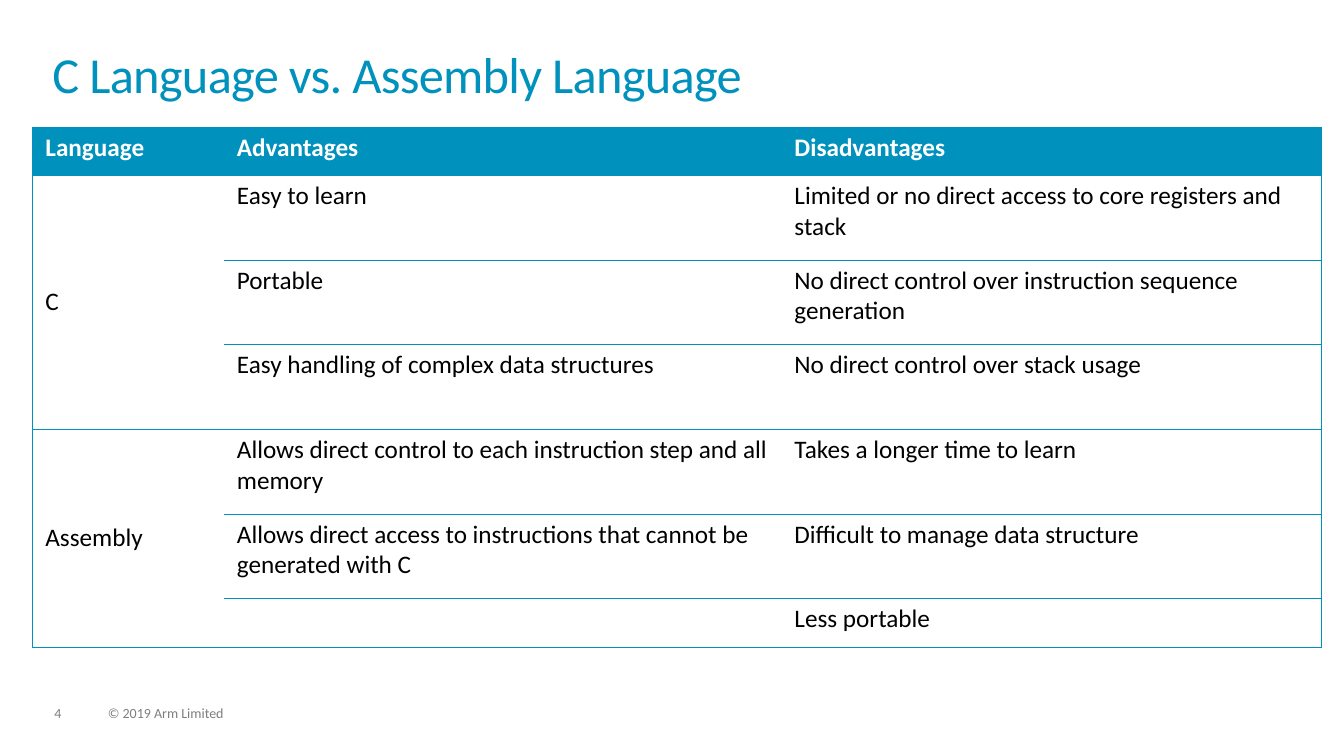
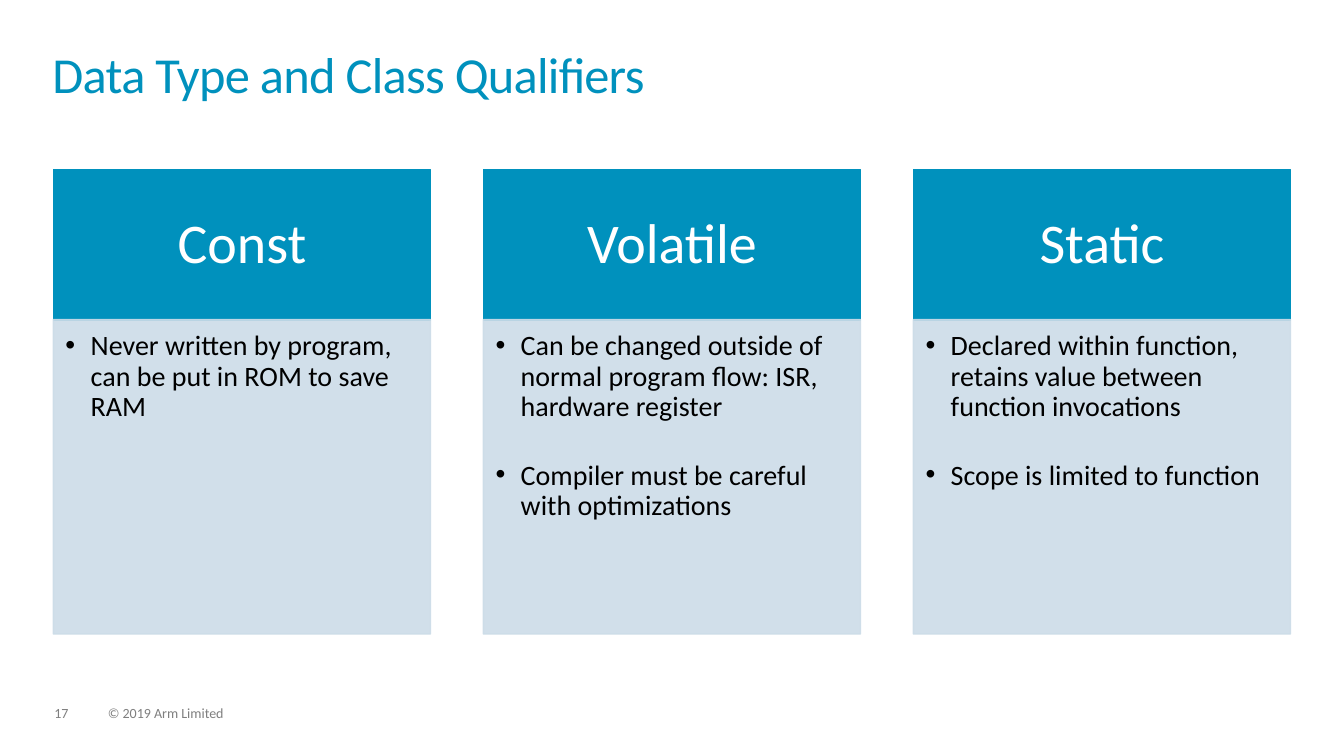
from lxml.etree import SubElement
from pptx import Presentation
from pptx.dml.color import RGBColor
from pptx.enum.shapes import MSO_SHAPE
from pptx.enum.text import MSO_ANCHOR, PP_ALIGN
from pptx.oxml.ns import qn
from pptx.util import Inches, Pt

FONT = "Calibri"
COLORS = {"accent": "0091BD", "panel": "CCDCE8", "text": "000000",
          "footer": "7F7F7F", "white": "FFFFFF"}
COPYRIGHT = "© 2019 Arm Limited"

HEADERS = ["Language", "Advantages", "Disadvantages"]
LANGUAGES = {
    "C": [
        ("Easy to learn", "Limited or no direct access to core registers and stack"),
        ("Portable", "No direct control over instruction sequence generation"),
        ("Easy handling of complex data structures", "No direct control over stack usage"),
    ],
    "Assembly": [
        ("Allows direct control to each instruction step and all memory",
         "Takes a longer time to learn"),
        ("Allows direct access to instructions that cannot be generated with C",
         "Difficult to manage data structure"),
        ("", "Less portable"),
    ],
}
QUALIFIERS = {
    "Const": ["Never written by program, can be put in ROM to save RAM"],
    "Volatile": ["Can be changed outside of normal program flow: ISR, hardware register",
                 "Compiler must be careful with optimizations"],
    "Static": ["Declared within function, retains value between function invocations",
               "Scope is limited to function"],
}


def rgb(name):
    return RGBColor.from_string(COLORS[name])


def set_margins(box, left, top, right, bottom):
    """Set the text insets of a text frame or a table cell."""
    box.margin_left, box.margin_top = Inches(left), Inches(top)
    box.margin_right, box.margin_bottom = Inches(right), Inches(bottom)


def style_runs(p, size, color, bold=False, spacing=None):
    for r in p.runs:
        r.font.name, r.font.size, r.font.bold = FONT, Pt(size), bold
        r.font.color.rgb = rgb(color)
        if spacing is not None:
            r._r.get_or_add_rPr().set("spc", str(spacing))


def add_text(s, text, left, top, width, height, size, color, line_spacing, spacing=None):
    box = s.shapes.add_textbox(Inches(left), Inches(top), Inches(width), Inches(height))
    tf = box.text_frame
    tf.word_wrap = True
    set_margins(tf, 0, 0, 0, 0)
    tf.text = text
    p = tf.paragraphs[0]
    p.line_spacing = line_spacing
    style_runs(p, size, color, spacing=spacing)


def add_slide(prs, title, number):
    """Add a blank slide with the shared title and footer."""
    s = prs.slides.add_slide(prs.slide_layouts[6])
    add_text(s, str(number), 0.54, 7.01, 0.34, 0.15, 10, "footer", 0.9)
    add_text(s, COPYRIGHT, 1.07, 7.01, 5.07, 0.15, 10, "footer", 0.9)
    add_text(s, title, 0.52, 0.52, 12.28, 0.72, 36, "accent", 0.85, spacing=-50)
    return s


def set_borders(cell, sides):
    """Draw the named sides (L, R, T, B) and clear the others."""
    tcPr = cell._tc.get_or_add_tcPr()
    for side in "LRTB":
        ln = SubElement(tcPr, qn(f"a:ln{side}"), w=str(Pt(0.5)))
        if side in sides:
            fill = SubElement(ln, qn("a:solidFill"))
            SubElement(fill, qn("a:srgbClr"), val=COLORS["accent"])
        else:
            SubElement(ln, qn("a:noFill"))


def style_cell(cell, row, col, last_col):
    header = row == 0
    sides = "L" if col == 0 else "R" if col == last_col else ""
    if not cell.is_spanned:
        sides += "T"
    if not cell.is_spanned or row % 3 == 0:
        sides += "B"
    set_borders(cell, sides)
    if header:
        cell.fill.solid()
        cell.fill.fore_color.rgb = rgb("accent")
    else:
        cell.fill.background()
    set_margins(cell, 0.13, 0.05, 0.13, 0.05)
    cell.vertical_anchor = MSO_ANCHOR.MIDDLE if cell.is_merge_origin else MSO_ANCHOR.TOP
    style_runs(cell.text_frame.paragraphs[0], 18, "white" if header else "text", bold=header)


def add_language_table(s):
    widths = [1.9, 5.53, 5.36]
    heights = [0.48] + [0.84] * 5 + [0.48]
    table = s.shapes.add_table(len(heights), len(widths), Inches(0.32), Inches(1.26),
                               Inches(sum(widths)), Inches(sum(heights))).table
    table.horz_banding = False
    for column, width in zip(table.columns, widths):
        column.width = Inches(width)
    for row, height in zip(table.rows, heights):
        row.height = Inches(height)

    rows = [HEADERS]
    for language, points in LANGUAGES.items():
        first = len(rows)
        rows += [(language if i == 0 else "", *pair) for i, pair in enumerate(points)]
        table.cell(first, 0).merge(table.cell(len(rows) - 1, 0))
    for i, texts in enumerate(rows):
        for j, text in enumerate(texts):
            cell = table.cell(i, j)
            cell.text = text
            style_cell(cell, i, j, len(widths) - 1)


def add_rect(s, left, top, width, height, color, opacity=100):
    shape = s.shapes.add_shape(MSO_SHAPE.RECTANGLE, Inches(left), Inches(top),
                               Inches(width), Inches(height))
    shape.shadow.inherit = False
    shape.fill.solid()
    shape.line.width = Pt(1)
    for fill in (shape.fill, shape.line.fill):
        fill.solid()
        fill.fore_color.rgb = rgb(color)
    if opacity < 100:
        for clr in shape._element.spPr.iter(qn("a:srgbClr")):
            SubElement(clr, qn("a:alpha"), val=str(opacity * 1000))
    shape.text_frame.word_wrap = True
    return shape


def add_bullets(tf, items):
    tf.text = "\n".join(items)
    for i, p in enumerate(tf.paragraphs):
        p.alignment = PP_ALIGN.LEFT
        p.line_spacing = 0.9
        p.space_before = Pt(27.5 if i else 0)
        pPr = p._p.get_or_add_pPr()
        pPr.set("marL", str(Inches(0.25)))
        pPr.set("indent", str(Inches(-0.25)))
        SubElement(pPr, qn("a:buFont"), typeface="Arial")
        SubElement(pPr, qn("a:buChar"), char="•")
        style_runs(p, 20, "text")


def add_card(s, left, width, heading, items):
    head = add_rect(s, left, 1.68, width, 1.5, "accent")
    tf = head.text_frame
    set_margins(tf, 0.31, 0.18, 0.31, 0.18)
    tf.vertical_anchor = MSO_ANCHOR.MIDDLE
    tf.text = heading
    p = tf.paragraphs[0]
    p.alignment = PP_ALIGN.CENTER
    p.line_spacing = 0.9
    style_runs(p, 40, "white")

    body = add_rect(s, left, 3.17, width, 3.12, "panel", opacity=90)
    tf = body.text_frame
    set_margins(tf, 0.12, 0.12, 0.16, 0.17)
    tf.vertical_anchor = MSO_ANCHOR.TOP
    add_bullets(tf, items)


def add_qualifier_cards(s):
    left, right, width = 0.53, 12.8, 3.74
    step = (right - left - width) / (len(QUALIFIERS) - 1)
    for i, (heading, items) in enumerate(QUALIFIERS.items()):
        add_card(s, left + i * step, width, heading, items)


def main():
    prs = Presentation()
    prs.slide_width, prs.slide_height = Inches(13.33), Inches(7.5)
    add_language_table(add_slide(prs, "C Language vs. Assembly Language", 4))
    add_qualifier_cards(add_slide(prs, "Data Type and Class Qualifiers", 17))
    prs.save("out.pptx")


if __name__ == "__main__":
    main()
